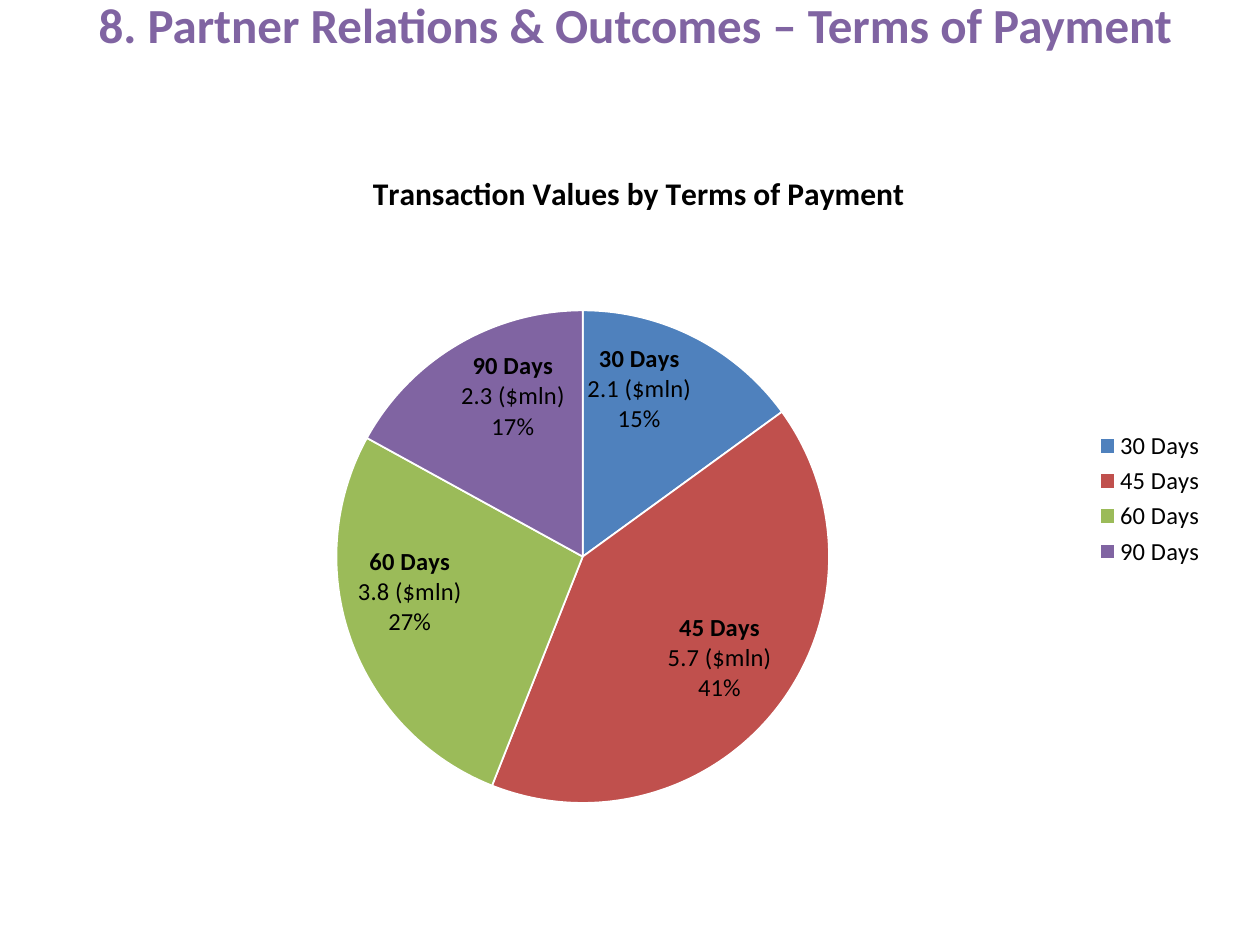
from lxml import etree
from pptx import Presentation
from pptx.chart.data import CategoryChartData
from pptx.dml.color import RGBColor
from pptx.enum.chart import XL_CHART_TYPE, XL_LABEL_POSITION, XL_LEGEND_POSITION
from pptx.enum.text import MSO_ANCHOR, PP_ALIGN
from pptx.oxml.ns import qn
from pptx.util import Pt

PIE = XL_CHART_TYPE.PIE
INSIDE_END = XL_LABEL_POSITION.INSIDE_END
RIGHT = XL_LEGEND_POSITION.RIGHT
CENTER = PP_ALIGN.CENTER
MIDDLE = MSO_ANCHOR.MIDDLE

FONT = "Calibri"
BLACK = RGBColor(0x00, 0x00, 0x00)
WHITE = RGBColor(0xFF, 0xFF, 0xFF)
BLUE = RGBColor(0x4F, 0x81, 0xBD)
RED = RGBColor(0xC0, 0x50, 0x4D)
GREEN = RGBColor(0x9B, 0xBB, 0x59)
PURPLE = RGBColor(0x80, 0x64, 0xA2)

# term, transaction value in $mln, share in percent, slice colour
TERMS = [
    ("30 Days", 2.1, 15, BLUE),
    ("45 Days", 5.7, 41, RED),
    ("60 Days", 3.8, 27, GREEN),
    ("90 Days", 2.3, 17, PURPLE),
]


def style_font(font, size, color=BLACK, bold=False):
    font.name = FONT
    font.size = Pt(size)
    font.bold = bold
    font.color.rgb = color


def set_layout(element, after, **settings):
    """Place a chart part by hand, in fractions of the chart's size."""
    for old in element.findall(qn("c:layout")):
        element.remove(old)
    layout = etree.Element(qn("c:layout"))
    manual = etree.SubElement(layout, qn("c:manualLayout"))
    for tag, value in settings.items():
        etree.SubElement(manual, qn(f"c:{tag}")).set("val", str(value))
    if after is None:
        element.insert(0, layout)
    else:
        after.addnext(layout)


def add_heading(slide, left, top, width, height):
    title = slide.shapes.title
    title.left, title.top = Pt(left), Pt(top)
    title.width, title.height = Pt(width), Pt(height)
    frame = title.text_frame
    frame.word_wrap = True
    frame.vertical_anchor = MIDDLE
    paragraph = frame.paragraphs[0]
    paragraph.alignment = CENTER
    run = paragraph.add_run()
    run.text = "8. Partner Relations & Outcomes – Terms of Payment"
    style_font(run.font, 28, PURPLE, bold=True)


def label_slice(point, lines):
    """Write the lines into the slice, the first one bold."""
    label = point.data_label
    frame = label.text_frame
    for index, line in enumerate(lines):
        paragraph = frame.add_paragraph() if index else frame.paragraphs[0]
        run = paragraph.add_run()
        run.text = line
        style_font(run.font, 14, bold=index == 0)
    label.position = INSIDE_END


def add_terms_pie(slide, left, top, width, height):
    data = CategoryChartData()
    data.categories = [term for term, *_ in TERMS]
    data.add_series("Series 1", [share for _, _, share, _ in TERMS])
    chart = slide.shapes.add_chart(
        PIE, Pt(left), Pt(top), Pt(width), Pt(height), data).chart
    style_font(chart.font, 10)

    chart.has_title = True
    heading = chart.chart_title.text_frame.paragraphs[0].add_run()
    heading.text = "Transaction Values by Terms of Payment"
    style_font(heading.font, 18, bold=True)
    chart_title = chart.chart_title._element
    set_layout(chart_title, chart_title.find(qn("c:tx")),
               xMode="edge", yMode="edge", x=0.27, y=0.04)

    chart.has_legend = True
    chart.legend.position = RIGHT
    chart.legend.include_in_layout = False
    style_font(chart.legend.font, 14)

    plot = chart.plots[0]
    plot.vary_by_categories = True
    set_layout(plot._element.getparent(), None, layoutTarget="inner",
               xMode="edge", yMode="edge", x=0.24, y=0.24, w=0.43, h=0.68)
    for index, (term, value, share, color) in enumerate(TERMS):
        point = plot.series[0].points[index]
        point.format.fill.solid()
        point.format.fill.fore_color.rgb = color
        point.format.line.color.rgb = WHITE
        point.format.line.width = Pt(1)
        label_slice(point, [term, f"{value} ($mln)", f"{share}%"])


def main():
    presentation = Presentation()
    presentation.slide_width, presentation.slide_height = Pt(720), Pt(540)
    slide = presentation.slides.add_slide(presentation.slide_layouts[5])
    add_terms_pie(slide, 30, 78, 666, 414)
    add_heading(slide, 12, -18, 702, 63)
    presentation.save("out.pptx")


if __name__ == "__main__":
    main()
